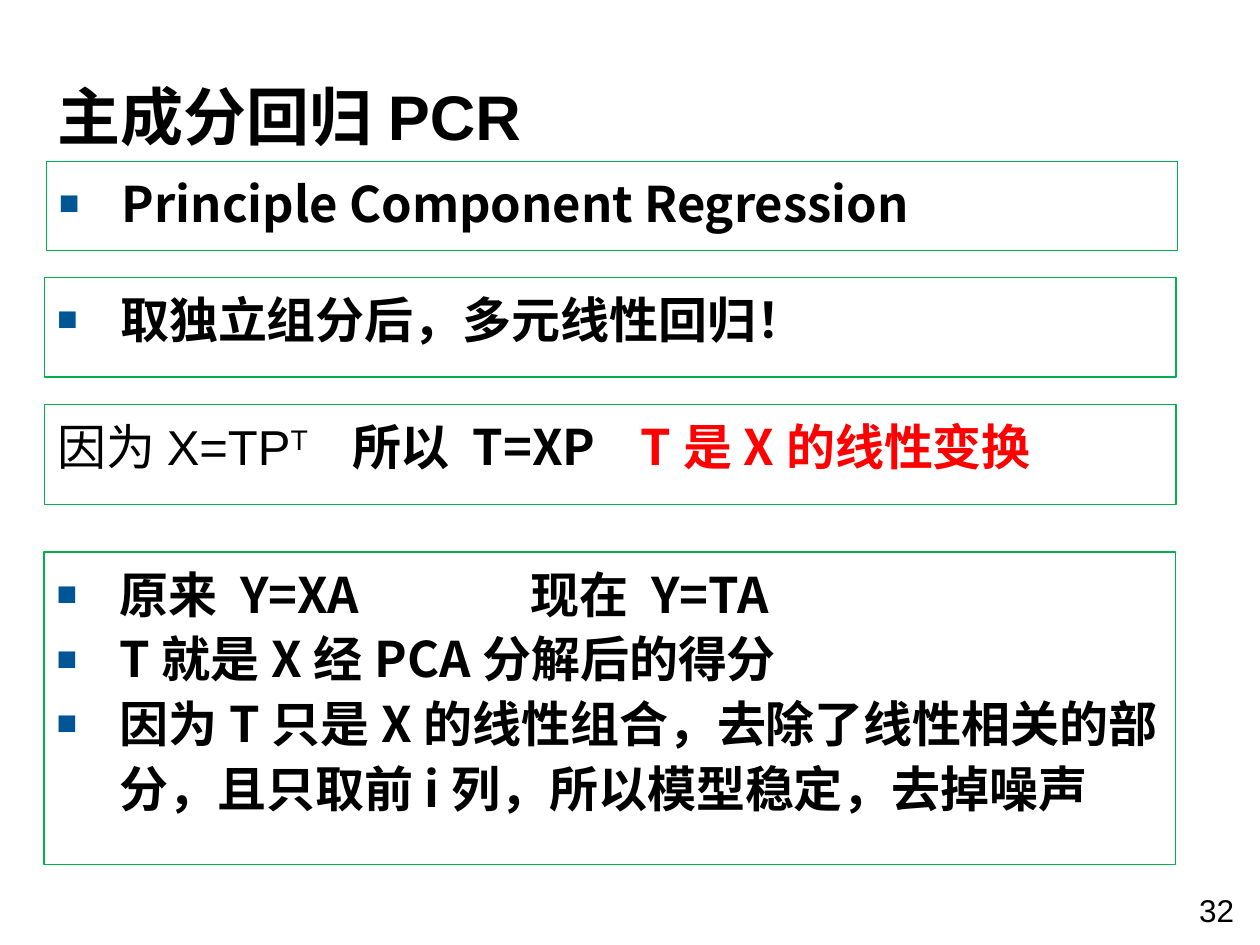
"""Build the slide on principal component regression."""
from lxml import etree
from pptx import Presentation
from pptx.dml.color import RGBColor
from pptx.enum.shapes import MSO_SHAPE
from pptx.enum.text import MSO_ANCHOR, PP_ALIGN
from pptx.oxml.ns import qn
from pptx.util import Pt

RECTANGLE = MSO_SHAPE.RECTANGLE
TOP, BOTTOM = MSO_ANCHOR.TOP, MSO_ANCHOR.BOTTOM
LEFT = PP_ALIGN.LEFT
BLACK = RGBColor(0x00, 0x00, 0x00)
WHITE = RGBColor(0xFF, 0xFF, 0xFF)
RED = RGBColor(0xFF, 0x00, 0x00)
GREEN = RGBColor(0x00, 0xB0, 0x50)
BLUE = RGBColor(0x00, 0x55, 0x95)
ARIAL, NOTO = "Arial", "Noto Sans CJK SC"
PANEL_WIDTH = 646.5
INDENT = 36

TITLE = "主成分回归PCR"
PAGE_NUMBER = "32"
BULLET_PANELS = [
    (26.6, 92.2, 51, ["Principle Component Regression"], []),
    (25.6, 158.4, 57, ["取独立组分后，多元线性回归！"], []),
    (25.2, 315.4, 178.6, [
        "原来 Y=XA\t现在 Y=TA",
        "T就是X经PCA分解后的得分",
        "因为T只是X的线性组合，去除了线性相关的部分，且只取前i列，所以模型稳定，去掉噪声",
    ], [271]),
]
FORMULA_PANEL = (25.6, 231.1, 57)
FORMULA_TABS = [168.5, 333.5]
FORMULA = [
    ("因为X=TP", ARIAL, False, BLACK, False),
    ("T", ARIAL, False, BLACK, True),
    ("\t所以 T=XP\t", NOTO, True, BLACK, False),
    ("T是X的线性变换", NOTO, True, RED, False),
]


def add_element(parent, tag, **attributes):
    element = etree.SubElement(parent, qn(tag))
    for name, value in attributes.items():
        element.set(name, str(value))
    return element


def style(span, size, font=NOTO, bold=True, color=BLACK):
    span.font.size = Pt(size)
    span.font.name = font
    span.font.bold = bold
    span.font.color.rgb = color
    if font == NOTO:
        add_element(span.font._element, "a:ea", typeface=font)


def add_bullet(paragraph):
    properties = paragraph._p.get_or_add_pPr()
    properties.set("marL", str(Pt(INDENT)))
    properties.set("indent", str(-Pt(INDENT)))
    add_element(add_element(properties, "a:buClr"), "a:srgbClr", val=BLUE)
    add_element(properties, "a:buSzPct", val=70000)
    add_element(properties, "a:buFont", typeface=ARIAL)
    add_element(properties, "a:buChar", char="■")


def add_tabs(paragraph, positions):
    tabs = add_element(paragraph._p.get_or_add_pPr(), "a:tabLst")
    for position in positions:
        add_element(tabs, "a:tab", pos=Pt(position), algn="l")


def add_panel(page, left, top, height):
    panel = page.shapes.add_shape(RECTANGLE, Pt(left), Pt(top), Pt(PANEL_WIDTH), Pt(height))
    panel.shadow.inherit = False
    panel.fill.solid()
    panel.fill.fore_color.rgb = WHITE
    panel.line.color.rgb = GREEN
    panel.line.width = Pt(0.75)
    panel.text_frame.word_wrap = True
    panel.text_frame.vertical_anchor = TOP
    return panel.text_frame


def add_label(page, left, top, width, height, text, size, bold, anchor=TOP):
    box = page.shapes.add_textbox(Pt(left), Pt(top), Pt(width), Pt(height))
    frame = box.text_frame
    frame.word_wrap = True
    frame.vertical_anchor = anchor
    frame.text = text
    style(frame.paragraphs[0].runs[0], size, ARIAL, bold)
    return frame


def main():
    deck = Presentation()
    deck.slide_width, deck.slide_height = Pt(720), Pt(540)
    page = deck.slides.add_slide(deck.slide_layouts[6])

    add_label(page, 678.2, 505.4, 36, 29, PAGE_NUMBER, 18, False)
    title = add_label(page, 26, 20, 612, 72, TITLE, 36, True, BOTTOM)
    title.paragraphs[0].line_spacing = 0.95

    for left, top, height, lines, tabs in BULLET_PANELS:
        frame = add_panel(page, left, top, height)
        frame.text = "\n".join(lines)
        for paragraph in frame.paragraphs:
            add_bullet(paragraph)
            if "\t" in paragraph.text:
                add_tabs(paragraph, tabs)
            paragraph.alignment = LEFT
            paragraph.line_spacing = 1.1
            style(paragraph.runs[0], 28)

    paragraph = add_panel(page, *FORMULA_PANEL).paragraphs[0]
    add_tabs(paragraph, FORMULA_TABS)
    paragraph.alignment = LEFT
    paragraph.line_spacing = 1.1
    for text, font, bold, color, raised in FORMULA:
        span = paragraph.add_run()
        span.text = text
        style(span, 28, font, bold, color)
        if raised:
            span.font._element.set("baseline", "30000")

    deck.save("out.pptx")


if __name__ == "__main__":
    main()
